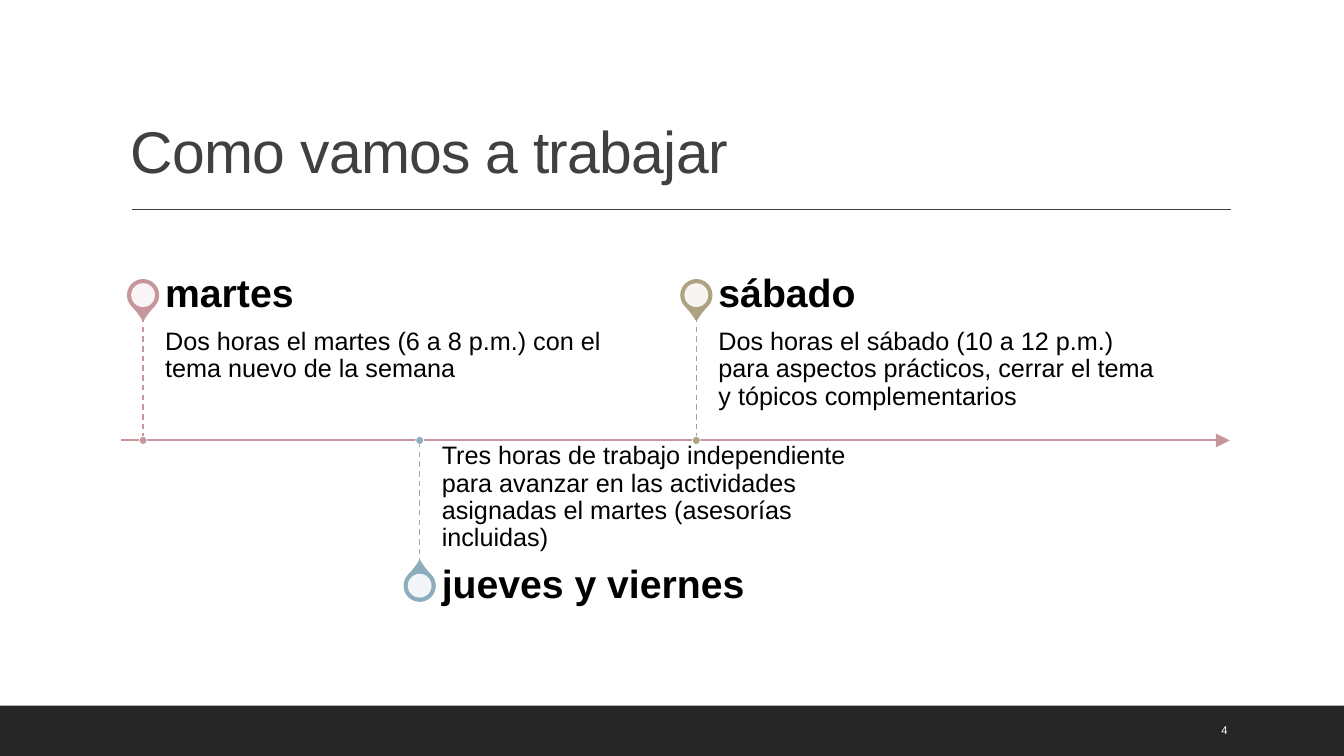
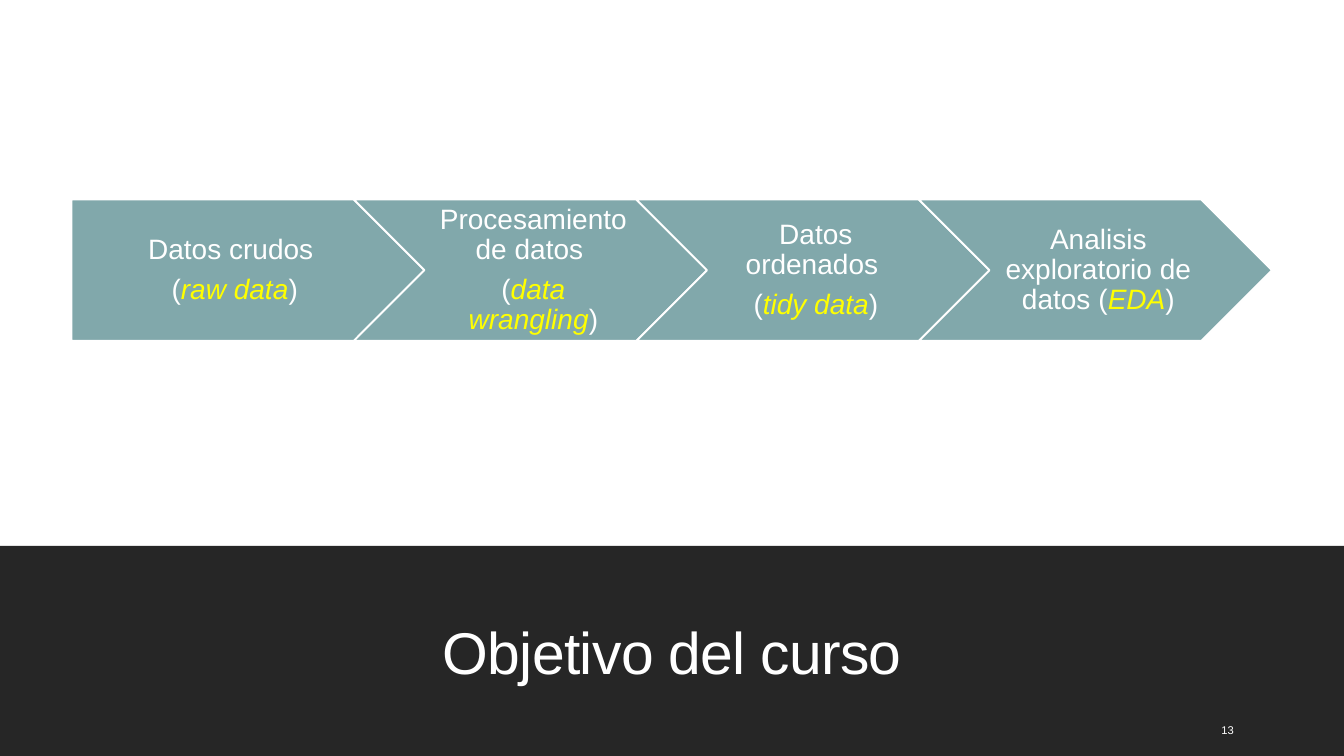
from dataclasses import dataclass
from pptx import Presentation
from pptx.dml.color import RGBColor as RGB
from pptx.enum.dml import MSO_LINE
from pptx.enum.shapes import MSO_CONNECTOR, MSO_SHAPE as SHAPE
from pptx.enum.text import MSO_ANCHOR as ANCHOR, PP_ALIGN as ALIGN
from pptx.oxml.ns import qn
from pptx.util import Pt
from lxml.etree import SubElement


@dataclass(frozen=True)
class Theme:
    font: str = "Arial"
    white: RGB = RGB(0xFF, 0xFF, 0xFF)
    black: RGB = RGB(0, 0, 0)
    ink: RGB = RGB(0x40, 0x40, 0x40)
    band: RGB = RGB(0x26, 0x26, 0x26)
    rose: RGB = RGB(0xC6, 0x96, 0x9C)
    blue: RGB = RGB(0x8C, 0xAD, 0xBB)
    sand: RGB = RGB(0xAF, 0xA2, 0x83)
    teal: RGB = RGB(0x81, 0xA8, 0xAB)
    yellow: RGB = RGB(0xFF, 0xFF, 0)
    title: float = 42
    label: float = 28
    step: float = 20
    body: float = 18
    number: float = 8


T = Theme()
WIDTH, HEIGHT = 960, 540


def write(s, paragraphs, size, color, align=ALIGN.LEFT, anchor=ANCHOR.MIDDLE,
          insets=(7.2, 3.6, 7.2, 3.6), bold=False, spacing=0):
    """Fill a shape with text; parts between bars are emphasised."""
    tf = s.text_frame
    tf.word_wrap = True
    tf.vertical_anchor = anchor
    tf.margin_left, tf.margin_top, tf.margin_right, tf.margin_bottom = map(Pt, insets)
    for i, text in enumerate(paragraphs):
        p = tf.add_paragraph() if i else tf.paragraphs[0]
        p.alignment = align
        p.line_spacing = 0.9
        p.space_after = Pt(0.35 * size)
        for j, part in enumerate(text.split("|")):
            r = p.add_run()
            r.text = part
            r.font.name, r.font.size, r.font.bold = T.font, Pt(size), bold
            r.font.italic = j % 2 == 1
            r.font.color.rgb = T.yellow if j % 2 else color
            if spacing:
                r._r.get_or_add_rPr().set("spc", str(spacing))


def add_line(slide, x1, y1, x2, y2, color, width):
    line = slide.shapes.add_connector(MSO_CONNECTOR.STRAIGHT, *map(Pt, (x1, y1, x2, y2)))
    line.line.color.rgb = color
    line.line.width = Pt(width)
    SubElement(line._element.spPr, qn("a:effectLst"))
    return line


prs = Presentation()
prs.slide_width, prs.slide_height = Pt(WIDTH), Pt(HEIGHT)

# Shared frame: dark band, title and slide number
frames = [
    ("Como vamos a trabajar", T.ink, ALIGN.LEFT, (86.4, 22.3, 792, 114.5), 504, "4"),
    ("Objetivo del curso", T.white, ALIGN.CENTER, (84.2, 413.3, 792, 81.4), 390, "13"),
]
slides = []
for title, color, align, box, band_top, number in frames:
    slide = prs.slides.add_slide(prs.slide_layouts[6])
    band = slide.shapes.add_shape(SHAPE.RECTANGLE, 0, Pt(band_top),
                                  Pt(WIDTH), Pt(HEIGHT - band_top))
    band.shadow.inherit = False
    band.fill.solid()
    band.fill.fore_color.rgb = T.band
    band.line.fill.background()
    write(slide.shapes.add_textbox(*map(Pt, box)), [title], T.title, color,
          align, ANCHOR.BOTTOM, spacing=-50)
    write(slide.shapes.add_textbox(Pt(865.4), Pt(507.6), Pt(61.2), Pt(28.8)),
          [number], T.number, T.white)
    slides.append(slide)
timeline, process = slides

# Timeline: pins alternate above and below the axis
AXIS_Y, STEM, LABEL_H = 314.6, 88.3, 31
FIRST_X, PIN_STEP, TEXT_GAP, TEXT_W = 102.2, 197.6, 15.8, 329

add_line(timeline, 94.3, 149.6, 879.1, 149.6, T.ink, 1)
axis = add_line(timeline, 86.4, AXIS_Y, 878.4, AXIS_Y, T.rose, 1.5)
SubElement(axis.line._get_or_add_ln(), qn("a:tailEnd"), type="triangle", w="lg", len="lg")

days = [
    ("martes", "Dos horas el martes (6 a 8 p.m.) con el tema nuevo de la semana", T.rose),
    ("jueves y viernes", "Tres horas de trabajo independiente para avanzar en las actividades "
     "asignadas el martes (asesorías incluidas)", T.blue),
    ("sábado", "Dos horas el sábado (10 a 12 p.m.) para aspectos prácticos, cerrar el tema "
     "y tópicos complementarios", T.sand),
]
for i, (day, detail, color) in enumerate(days):
    above = i % 2 == 0
    x = FIRST_X + i * PIN_STEP
    side = -1 if above else 1
    stem_end = AXIS_Y + side * STEM
    pin_y = stem_end + side * LABEL_H / 2

    stem = add_line(timeline, x, stem_end, x, AXIS_Y, color, 1)
    stem.line.dash_style = MSO_LINE.DASH
    markers = [
        (SHAPE.TEAR, pin_y, 21.8, color, color, 1.25),
        (SHAPE.OVAL, pin_y, 17, T.white, None, 0),
        (SHAPE.OVAL, AXIS_Y, 5.6, color, T.white, 0.5),
    ]
    for kind, y, size, fill, outline, width in markers:
        s = timeline.shapes.add_shape(kind, Pt(x - size / 2), Pt(y - size / 2),
                                      Pt(size), Pt(size))
        s.shadow.inherit = False
        s.fill.solid()
        s.fill.fore_color.rgb = fill
        if kind == SHAPE.TEAR:
            s.adjustments[0] = 1.15
            s.rotation = 135 if above else 315
        if outline is None:
            s.line.fill.background()
            clr = s._element.spPr.find(qn("a:solidFill"))[0]
            SubElement(clr, qn("a:alpha"), val="90000")
        else:
            s.line.color.rgb = outline
            s.line.width = Pt(width)

    text_x = Pt(x + TEXT_GAP)
    detail_box = timeline.shapes.add_textbox(text_x, Pt(min(AXIS_Y, stem_end)),
                                             Pt(TEXT_W), Pt(STEM))
    write(detail_box, [detail], T.body, T.black,
          anchor=ANCHOR.TOP if above else ANCHOR.BOTTOM,
          insets=(0, 8.6, 8.6, 13.7) if above else (0, 13.7, 0, 8.6))
    label_box = timeline.shapes.add_textbox(text_x, Pt(pin_y - LABEL_H / 2),
                                            Pt(TEXT_W), Pt(LABEL_H))
    write(label_box, [day], T.label, T.black, insets=(0, 0, 13.7, 0), bold=True)

# Process: overlapping arrows
ARROW_W, ARROW_H, ARROW_STEP = 252, 100.8, 201.8
steps = [
    ["Datos crudos ", "(|raw data|)"],
    ["Procesamiento de datos ", "(|data wrangling|)"],
    ["Datos ordenados ", "(|tidy data|)"],
    ["Analisis exploratorio de datos (|EDA|)"],
]
for i, lines in enumerate(steps):
    arrow = process.shapes.add_shape(SHAPE.CHEVRON if i else SHAPE.PENTAGON,
                                     Pt(51.1 + i * ARROW_STEP), Pt(142.6),
                                     Pt(ARROW_W), Pt(ARROW_H))
    arrow.shadow.inherit = False
    arrow.fill.solid()
    arrow.fill.fore_color.rgb = T.teal
    arrow.line.color.rgb = T.white
    arrow.line.width = Pt(1.25)
    write(arrow, lines, T.step, T.white, ALIGN.CENTER,
          insets=(6.3 if i else 8.4, 4.2, 2.1, 4.2))

prs.save("out.pptx")
